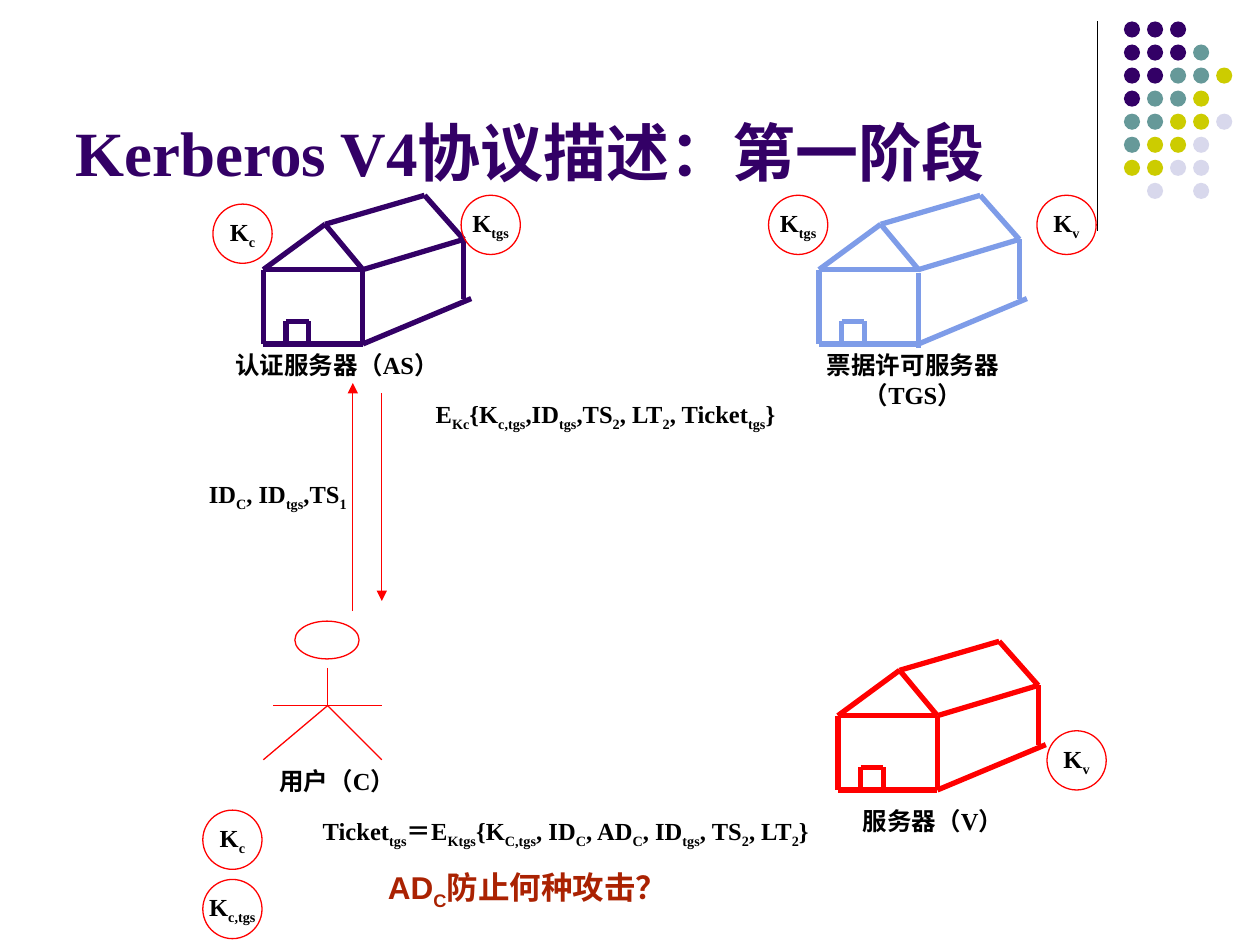
from dataclasses import dataclass

from lxml.etree import SubElement
from pptx import Presentation
from pptx.dml.color import RGBColor as Rgb
from pptx.enum.shapes import MSO_CONNECTOR as Connector, MSO_SHAPE as Shape
from pptx.enum.text import MSO_ANCHOR as Anchor, MSO_AUTO_SIZE as AutoSize, PP_ALIGN as Align
from pptx.oxml.ns import qn
from pptx.util import Inches, Pt


@dataclass(frozen=True)
class Theme:
    violet: Rgb = Rgb(0x33, 0x00, 0x66)
    teal: Rgb = Rgb(0x66, 0x99, 0x99)
    lime: Rgb = Rgb(0xCC, 0xCC, 0x00)
    lilac: Rgb = Rgb(0xD8, 0xD8, 0xEC)
    sky: Rgb = Rgb(0x7E, 0x9C, 0xE8)
    red: Rgb = Rgb(0xFF, 0x00, 0x00)
    rust: Rgb = Rgb(0xAA, 0x22, 0x02)
    ink: Rgb = Rgb(0x00, 0x00, 0x00)
    serif: str = "Times New Roman"
    sans: str = "Arial"
    title_size: int = 36
    question_size: int = 18
    label_size: int = 14
    thin: float = 0.75
    thick: float = 3


class ProtocolSlide:
    """Draws protocol elements on a grid of 100 columns by 75 rows."""

    def __init__(self, deck, theme):
        self.theme = theme
        self.column = deck.slide_width / 100
        self.row = deck.slide_height / 75
        self.slide = deck.slides.add_slide(deck.slide_layouts[5])
        self.shapes = self.slide.shapes

    def place(self, col, row, cols, rows):
        return (round(col * self.column), round(row * self.row),
                round(cols * self.column), round(rows * self.row))

    def set_text(self, frame, text, size, color, font, align):
        paragraph = frame.paragraphs[0]
        paragraph.alignment = align
        for index, part in enumerate(text.split("|")):
            run = paragraph.add_run()
            run.text = part
            if index % 2:
                run._r.get_or_add_rPr().set("baseline", "-25000")
        style = paragraph.font
        style.name, style.size, style.bold = font, Pt(size), True
        style.color.rgb = color

    def title(self, text, box):
        heading = self.shapes.title
        heading.left, heading.top, heading.width, heading.height = self.place(*box)
        frame = heading.text_frame
        frame.auto_size = AutoSize.NONE
        frame.vertical_anchor = Anchor.BOTTOM
        self.set_text(frame, text, self.theme.title_size, self.theme.violet,
                      self.theme.serif, Align.LEFT)

    def label(self, text, box):
        frame = self.shapes.add_textbox(*self.place(*box)).text_frame
        frame.word_wrap = True
        self.set_text(frame, text, self.theme.label_size, self.theme.ink,
                      self.theme.serif, Align.CENTER)

    def question(self, text, box):
        frame = self.shapes.add_textbox(*self.place(*box)).text_frame
        frame.word_wrap = False
        self.set_text(frame, text, self.theme.question_size, self.theme.rust,
                      self.theme.sans, Align.LEFT)

    def line(self, start, end, color, width, arrow=False):
        stroke = self.shapes.add_connector(
            Connector.STRAIGHT, *self.place(*start, *end))
        stroke.line.color.rgb = color
        stroke.line.width = Pt(width)
        properties = stroke._element.spPr
        if arrow:
            SubElement(properties.find(qn("a:ln")), qn("a:tailEnd"), type="triangle")
        SubElement(properties, qn("a:effectLst"))

    def ellipse(self, box, fill=None):
        oval = self.shapes.add_shape(Shape.OVAL, *self.place(*box))
        oval.shadow.inherit = False
        if fill is None:
            oval.fill.background()
            oval.line.color.rgb = self.theme.red
            oval.line.width = Pt(self.theme.thin)
        else:
            oval.fill.solid()
            oval.fill.fore_color.rgb = fill
            oval.line.fill.background()
        return oval

    def key(self, text, col, row):
        frame = self.ellipse((col, row, 4.7, 4.7)).text_frame
        frame.word_wrap = False
        frame.vertical_anchor = Anchor.MIDDLE
        self.set_text(frame, text, self.theme.label_size, self.theme.ink,
                      self.theme.serif, Align.CENTER)

    def dots(self, col, row, pattern, palette):
        for r, codes in enumerate(pattern):
            for c, code in enumerate(codes):
                if code in palette:
                    self.ellipse((col + 1.83 * c, row + 1.83 * r, 1.28, 1.28), palette[code])

    def house(self, col, row, color, wall_drop=0):
        gable, ridge = (4.9, 2.3), (12.8, 0)
        eave, front_eave, back_eave = (0, 5.9), (7.9, 5.9), (15.9, 3.5)
        base, front_base, back_base = (0, 11.8), (7.9, 11.8), (15.9, 8.2)
        corner = (16.5, 8.2)
        door = [(1.8, 11.8), (1.8, 10), (3.6, 10), (3.6, 11.8)]
        wall = [(x, y + wall_drop) for x, y in (front_eave, front_base)]
        outlines = [
            [gable, eave, front_eave, gable, ridge, back_eave, front_eave],
            [eave, base, front_base, corner], wall, [back_eave, back_base], door]
        for outline in outlines:
            for (x1, y1), (x2, y2) in zip(outline, outline[1:]):
                self.line((col + x1, row + y1), (col + x2, row + y2),
                          color, self.theme.thick)

    def user(self, col, row):
        self.ellipse((col + 2.5, row, 5.1, 3))
        hip = (col + 5.1, row + 6.7)
        limbs = [((col + 5.1, row + 3.7), hip), (hip, (col, row + 11)),
                 (hip, (col + 9.4, row + 11)),
                 ((col + 0.8, row + 6.7), (col + 9.4, row + 6.7))]
        for start, end in limbs:
            self.line(start, end, self.theme.red, self.theme.thin)


def main():
    deck = Presentation()
    deck.slide_width, deck.slide_height = Inches(10), Inches(7.5)
    theme = Theme()
    page = ProtocolSlide(deck, theme)

    page.line((87.1, 1.7), (87.1, 18.3), theme.ink, theme.thin)
    page.dots(89.2, 1.7,
              ["VVV", "VVVT", "VVTTY", "VTTY", "TTYYL", "TYYL", "YYLL", " L L"],
              {"V": theme.violet, "T": theme.teal, "Y": theme.lime, "L": theme.lilac})
    page.title("Kerberos V4协议描述：第一阶段", (5, 1.3, 82.5, 14.2))

    page.house(65, 15.5, theme.sky, wall_drop=0.3)
    page.house(66.5, 50.9, theme.red)
    page.user(20.9, 49.3)
    page.house(20.9, 15.5, theme.violet)

    page.line((28, 48.5), (28, 30.4), theme.red, theme.thin, arrow=True)
    page.line((30.3, 31.2), (30.3, 47.7), theme.red, theme.thin, arrow=True)

    for text, box in [
        ("票据许可服务器（TGS）", (62.6, 27.3, 19.7, 5.7)),
        ("服务器（V）", (64.2, 63.5, 19.7, 3.3)),
        ("认证服务器（AS）", (16.9, 27.3, 19.7, 3.3)),
        ("用户（C）", (16.9, 60.3, 19.7, 3.3)),
        ("ID|C|, ID|tgs|,TS|1", (13.8, 37.5, 16.5, 3.3)),
        ("E|Kc|{K|c,tgs|,ID|tgs|,TS|2|, LT|2|, Ticket|tgs|}", (31.1, 31.2, 33.9, 3.3)),
        ("Ticket|tgs|＝E|Ktgs|{K|C,tgs|, ID|C|, AD|C|, ID|tgs|, TS|2|, LT|2|}",
         (20.1, 64.3, 49.6, 3.3)),
    ]:
        page.label(text, box)

    for text, col, row in [
        ("K|c", 16.1, 64.3), ("K|c", 16.9, 16.2), ("K|tgs", 61, 15.5),
        ("K|v", 83.1, 58), ("K|tgs", 36.6, 15.5), ("K|v", 82.3, 15.5),
        ("K|c,tgs", 16.1, 69.8),
    ]:
        page.key(text, col, row)

    page.question("AD|C|防止何种攻击？", (29.8, 68.4, 32, 5))
    deck.save("out.pptx")


if __name__ == "__main__":
    main()
